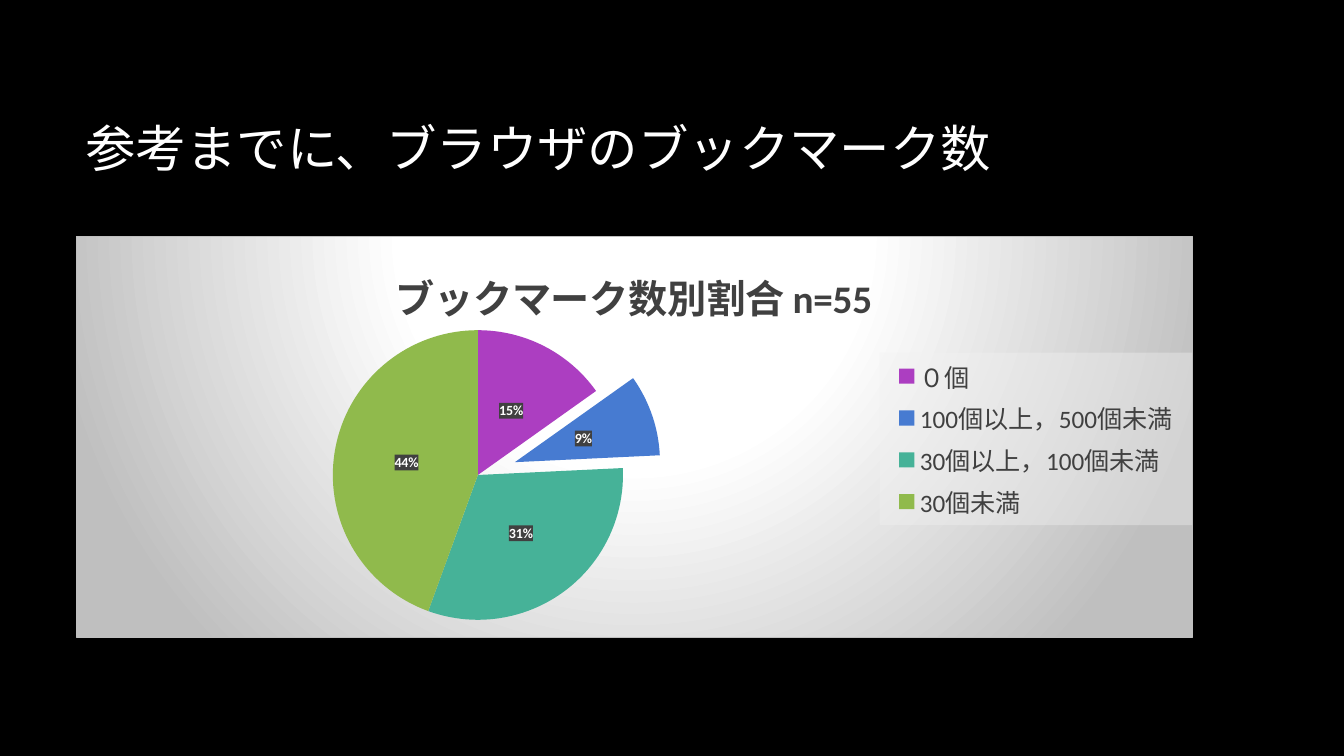
"""Build a slide with a pie chart of browser bookmark counts."""
from pptx import Presentation
from pptx.chart.data import CategoryChartData
from pptx.dml.color import RGBColor
from pptx.enum.chart import XL_CHART_TYPE, XL_LABEL_POSITION, XL_LEGEND_POSITION
from pptx.enum.text import MSO_ANCHOR
from pptx.oxml import parse_xml
from pptx.oxml.ns import nsdecls
from pptx.util import Pt

PIE = XL_CHART_TYPE.PIE
CENTER = XL_LABEL_POSITION.CENTER
RIGHT = XL_LEGEND_POSITION.RIGHT
MIDDLE = MSO_ANCHOR.MIDDLE

HEADING = "参考までに、ブラウザのブックマーク数"
CHART_TITLE = "ブックマーク数別割合 n=55"
SLICES = [
    ("０個", 15, "AC3EC1"),
    ("100個以上，500個未満", 9, "477BD1"),
    ("30個以上，100個未満", 31, "46B298"),
    ("30個未満", 44, "90BA4C"),
]
PULLED_SLICE, PULL_PERCENT = 1, 27

SLIDE_SIZE = (960, 540)
HEADING_BOX = (54, 48.25, 798, 114.5)
CHART_BOX = (54, 168.5, 798, 287.25)
LAYOUTS = {
    "title": (0.28, 0.05),
    "plotArea": (0.23, 0.23, 0.26, 0.73),
    "legend": (0.72, 0.29, 0.28, 0.43),
}

THEME = {
    "font": "Calibri",
    "background": "000000",
    "light": "FFFFFF",
    "dark": "404040",
    "edge": "BFBFBF",
    "legend_fill": "F2F2F2",
    "heading_size": 36,
    "title_size": 28,
    "legend_size": 18,
    "label_size": 10,
}


def points(box):
    """Convert a tuple of numbers to lengths in points."""
    return [Pt(value) for value in box]


def style_font(font, size, color, bold=False):
    """Apply the theme font with a size and a colour."""
    font.name = THEME["font"]
    font.size = Pt(THEME[size])
    font.bold = bold
    font.color.rgb = RGBColor.from_string(THEME[color])


def solid(color, alpha):
    """Return solid fill markup with an opacity in percent."""
    return (f'<a:solidFill><a:srgbClr val="{THEME[color]}">'
            f'<a:alpha val="{alpha * 1000}"/></a:srgbClr></a:solidFill>')


def shape_properties(content):
    """Wrap fill and line markup as chart shape properties."""
    return parse_xml(f'<c:spPr {nsdecls("c", "a")}>{content}</c:spPr>')


def place(parent, box):
    """Give a chart part a manual layout in fractions of the chart."""
    for layout in parent.xpath("c:layout"):
        parent.remove(layout)
    inner = '<c:layoutTarget val="inner"/>' if parent.tag.endswith("plotArea") else ""
    modes = '<c:xMode val="edge"/><c:yMode val="edge"/>'
    values = "".join(f'<c:{key} val="{value}"/>' for key, value in zip("xywh", box))
    layout = parse_xml(f'<c:layout {nsdecls("c")}><c:manualLayout>{inner}{modes}{values}'
                       '</c:manualLayout></c:layout>')
    parent.insert(0 if inner else 1, layout)


def add_heading(slide):
    """Add the heading text box."""
    frame = slide.shapes.add_textbox(*points(HEADING_BOX)).text_frame
    frame.word_wrap = True
    frame.vertical_anchor = MIDDLE
    run = frame.paragraphs[0].add_run()
    run.text = HEADING
    style_font(run.font, "heading_size", "light")


def add_pie(slide):
    """Add the pie chart and return it with its text and slices styled."""
    data = CategoryChartData()
    data.categories = [name for name, _, _ in SLICES]
    data.add_series("Series 1", [value for _, value, _ in SLICES])
    chart = slide.shapes.add_chart(PIE, *points(CHART_BOX), data).chart
    style_font(chart.font, "label_size", "light")

    chart.has_title = True
    run = chart.chart_title.text_frame.paragraphs[0].add_run()
    run.text = CHART_TITLE
    style_font(run.font, "title_size", "dark", True)

    chart.has_legend = True
    chart.legend.position = RIGHT
    chart.legend.include_in_layout = False
    style_font(chart.legend.font, "legend_size", "dark")

    plot = chart.plots[0]
    plot.vary_by_categories = True
    series = plot.series[0]
    for index, (_, _, color) in enumerate(SLICES):
        fill = series.points[index].format.fill
        fill.solid()
        fill.fore_color.rgb = RGBColor.from_string(color)

    labels = series.data_labels
    labels.show_percentage = True
    labels.show_value = False
    labels.number_format = "0%"
    labels.number_format_is_linked = False
    labels.position = CENTER
    style_font(labels.font, "label_size", "light", True)
    return chart


def finish_chart(chart):
    """Add the backgrounds, the pulled slice and the manual layouts."""
    root = chart.element
    for part, color, alpha in (("c:legend", "legend_fill", 39), ("c:ser/c:dLbls", "dark", 90)):
        text = root.xpath(f".//{part}/c:txPr")[0]
        text.addprevious(shape_properties(solid(color, alpha)))

    pulled = root.xpath(f".//c:dPt[c:idx/@val='{PULLED_SLICE}']/c:spPr")[0]
    pulled.addprevious(parse_xml(f'<c:explosion {nsdecls("c")} val="{PULL_PERCENT}"/>'))

    stops = "".join(
        f'<a:gs pos="{position * 1000}"><a:srgbClr val="{THEME[color]}"/></a:gs>'
        for position, color in ((0, "light"), (39, "light"), (100, "edge")))
    root.xpath("c:chart")[0].addnext(shape_properties(
        f'<a:gradFill><a:gsLst>{stops}</a:gsLst><a:path path="circle">'
        '<a:fillToRect l="50000" t="-80000" r="50000" b="180000"/></a:path></a:gradFill>'
        f'<a:ln w="{Pt(0.75)}">{solid("edge", 100)}</a:ln>'))

    for part, box in LAYOUTS.items():
        place(root.xpath(f"c:chart/c:{part}")[0], box)


def main():
    """Create and save the presentation."""
    presentation = Presentation()
    presentation.slide_width, presentation.slide_height = points(SLIDE_SIZE)
    slide = presentation.slides.add_slide(presentation.slide_layouts[6])
    slide.background.fill.solid()
    slide.background.fill.fore_color.rgb = RGBColor.from_string(THEME["background"])
    add_heading(slide)
    finish_chart(add_pie(slide))
    presentation.save("out.pptx")


if __name__ == "__main__":
    main()
